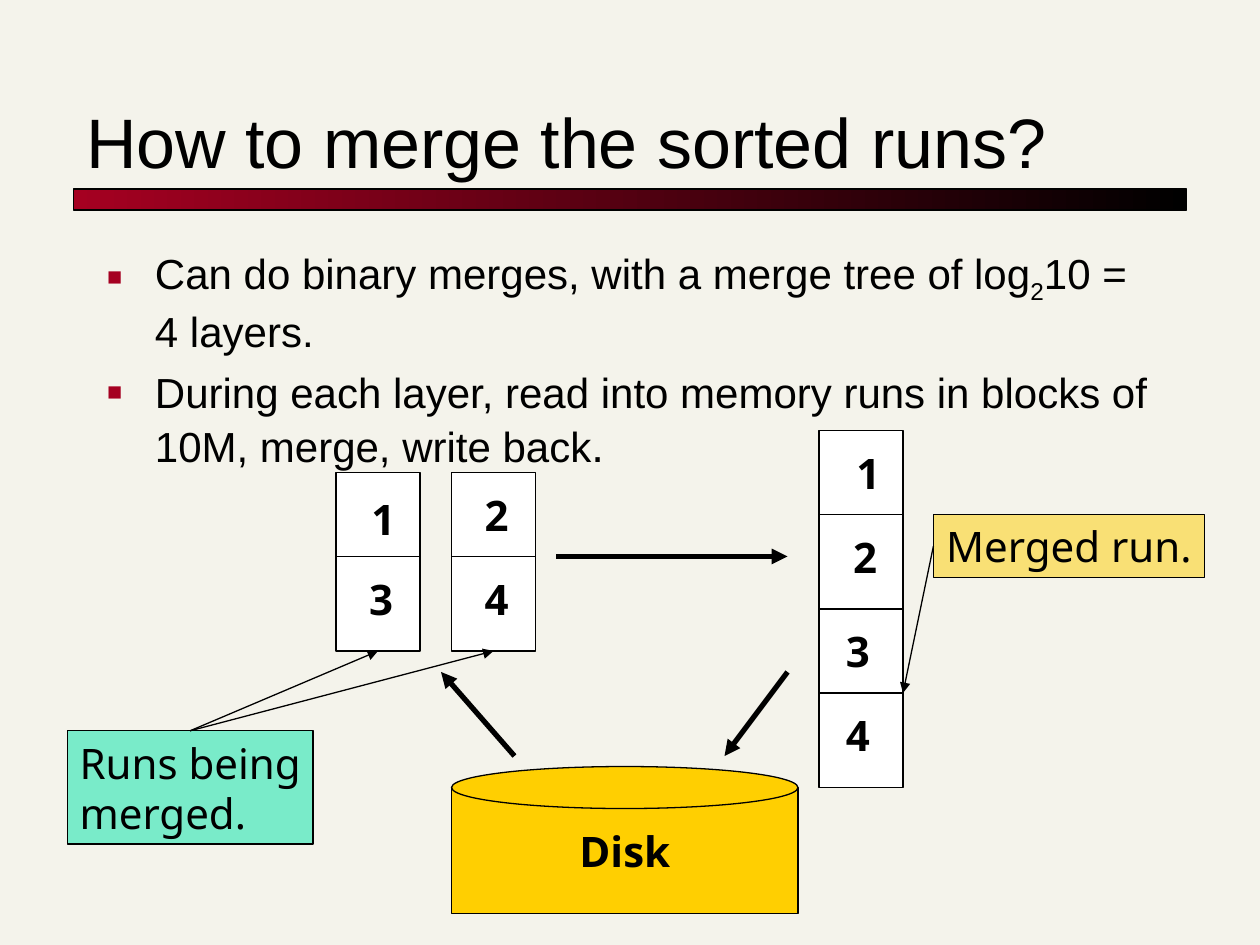
from collections import namedtuple
from dataclasses import dataclass

import pptx
import pptx.dml.color
import pptx.enum.shapes
import pptx.enum.text
import pptx.oxml
import pptx.oxml.ns
import pptx.util

COLUMNS, ROWS = 120, 90
CELL = pptx.util.Inches(10) // COLUMNS
SHAPE = pptx.enum.shapes.MSO_SHAPE
ALIGN = pptx.enum.text.PP_ALIGN
ANCHOR = pptx.enum.text.MSO_ANCHOR
NO_FIT = pptx.enum.text.MSO_AUTO_SIZE.NONE

Box = namedtuple("Box", "left top width height")  # in grid cells


@dataclass(frozen=True)
class Theme:
    background: str = "F4F3EB"
    ink: str = "000000"
    accent: str = "A50021"
    paper: str = "FFFFFF"
    gold: str = "FFCF01"
    mint: str = "00E4A8"
    text_font: str = "Arial"
    label_font: str = "Noto Sans"
    title_size: float = 40
    text_size: float = 24
    stop_size: float = 26
    hairline: float = 0.75
    thick_line: float = 3


THEME = Theme()


def rgb(value):
    return pptx.dml.color.RGBColor.from_string(value)


def cells(*values):
    return [round(value * CELL) for value in values]


def set_format(target, **values):
    for name, value in values.items():
        setattr(target, name, value)


def append_xml(parent, tag, content="", **attributes):
    settings = " ".join(f'{name}="{value}"' for name, value in attributes.items())
    namespace = pptx.oxml.ns.nsdecls("a")
    parent.append(pptx.oxml.parse_xml(f"<a:{tag} {namespace} {settings}>{content}</a:{tag}>"))


def add_run(paragraph, text, font=THEME.text_font, size=THEME.text_size, bold=False):
    run = paragraph.add_run()
    run.text = text
    set_format(run.font, name=font, size=pptx.util.Pt(size), bold=bold)
    run.font.color.rgb = rgb(THEME.ink)
    return run


def write_label(shape, lines, align=ALIGN.CENTER, bold=True):
    frame = shape.text_frame
    set_format(frame, word_wrap=False, vertical_anchor=ANCHOR.MIDDLE, auto_size=NO_FIT)
    for index, line in enumerate(lines):
        paragraph = frame.add_paragraph() if index else frame.paragraphs[0]
        paragraph.alignment = align
        add_run(paragraph, line, THEME.label_font, bold=bold)


def add_panel(shapes, box, color=None, kind=SHAPE.RECTANGLE, opacity=None):
    """Outlined shape; without a color its fill is left to the caller."""
    panel = shapes.add_shape(kind, *cells(*box))
    panel.shadow.inherit = False
    panel.line.color.rgb = rgb(THEME.ink)
    panel.line.width = pptx.util.Pt(THEME.hairline)
    if color:
        panel.fill.solid()
        panel.fill.fore_color.rgb = rgb(color)
    if opacity:
        fill_color = panel.element.spPr.find(".//" + pptx.oxml.ns.qn("a:srgbClr"))
        append_xml(fill_color, "alpha", val=opacity * 1000)
    return panel


def add_line(shapes, start, end, width=THEME.hairline, arrow=False):
    line = shapes.add_connector(
        pptx.enum.shapes.MSO_CONNECTOR.STRAIGHT, *cells(*start, *end))
    line.line.color.rgb = rgb(THEME.ink)
    line.line.width = pptx.util.Pt(width)
    properties = line.element.spPr
    if arrow:
        append_xml(properties.find(pptx.oxml.ns.qn("a:ln")), "tailEnd", type="triangle")
    append_xml(properties, "effectLst")


def place(placeholder, box):
    left, top, width, height = cells(*box)
    set_format(placeholder, left=left, top=top, width=width, height=height)


def add_heading(slide, box, text):
    """Title with the gradient bar along its bottom edge."""
    bar = add_panel(slide.shapes, Box(box.left, box.top + box.height, box.width, 2))
    bar.fill.gradient()
    bar.fill.gradient_angle = 0
    for stop, color, position in zip(bar.fill.gradient_stops, (THEME.accent, THEME.ink), (0, 1)):
        stop.color.rgb = rgb(color)
        stop.position = position
    title = slide.shapes.title
    place(title, box)
    set_format(title.text_frame, vertical_anchor=ANCHOR.BOTTOM, auto_size=NO_FIT, word_wrap=True)
    paragraph = title.text_frame.paragraphs[0]
    paragraph.alignment = ALIGN.LEFT
    add_run(paragraph, text, size=THEME.title_size)


def add_bullet(paragraph, space_before):
    paragraph.space_before = pptx.util.Pt(space_before)
    properties = paragraph._p.get_or_add_pPr()
    indent = pptx.util.Inches(0.38)
    set_format(paragraph, alignment=ALIGN.LEFT)
    properties.set("marL", str(indent))
    properties.set("indent", str(-indent))
    append_xml(properties, "buClr", f'<a:srgbClr val="{THEME.accent}"/>')
    append_xml(properties, "buSzPct", val=60000)
    append_xml(properties, "buFont", typeface=THEME.text_font)
    append_xml(properties, "buChar", char="■")


def add_body(slide, box):
    body = slide.placeholders[1]
    place(body, box)
    frame = body.text_frame
    set_format(frame, vertical_anchor=ANCHOR.TOP, auto_size=NO_FIT, word_wrap=True)
    layers = frame.paragraphs[0]
    add_bullet(layers, 0)
    add_run(layers, "Can do binary merges, with a merge tree of log")
    base = add_run(layers, "2")
    base._r.get_or_add_rPr().set("baseline", "-25000")
    add_run(layers, "10 = 4 layers.")
    blocks = frame.add_paragraph()
    add_bullet(blocks, 6.5)
    add_run(blocks, "During each layer, read into memory runs in blocks of 10M, merge, write back")
    add_run(blocks, ".", size=THEME.stop_size)


def add_run_stack(shapes, box, labels):
    """Two-block run; labels are (text, center column, center row) inside the box."""
    add_panel(shapes, box, THEME.paper)
    middle = box.top + 8
    add_line(shapes, (box.left, middle), (box.left + box.width, middle))
    width, height = 4.7, 6
    for text, column, row in labels:
        label = shapes.add_textbox(*cells(
            box.left + column - width / 2, box.top + row - height / 2, width, height))
        write_label(label, [text])


def add_disk(shapes, box):
    lid = 4
    body = Box(box.left, box.top + lid / 2, box.width, box.height - lid / 2)
    write_label(add_panel(shapes, body, THEME.gold), ["Disk"])
    add_panel(shapes, box._replace(height=lid), THEME.gold, SHAPE.OVAL)


def add_callout(shapes, box, lines, color, align, start, targets):
    """Tinted note with thin arrows from start to each target."""
    note = add_panel(shapes, box, color, opacity=50)
    write_label(note, lines, align, bold=False)
    for target in targets:
        add_line(shapes, start, target, arrow=True)


def add_merge_diagram(slide, box):
    shapes = slide.shapes
    left, top = box.left, box.top
    stack = Box(left, top, 8, 17)
    first, second = stack._replace(top=top + 4), stack._replace(left=left + 11, top=top + 4)
    upper = stack._replace(left=left + 46)
    lower = upper._replace(top=upper.top + upper.height)
    add_run_stack(shapes, first, [("1", 4.5, 4.4), ("3", 4.3, 12)])
    add_run_stack(shapes, second, [("2", 4.3, 4), ("4", 4.3, 12)])
    add_disk(shapes, Box(second.left, top + 32, 33, 14))
    for start, end in (((17, 31), (10, 23)), ((21, 12), (43, 12)), ((43, 23), (37, 31))):
        add_line(shapes, (left + start[0], top + start[1]), (left + end[0], top + end[1]),
                 THEME.thick_line, arrow=True)
    merged = shapes.add_group_shape().shapes
    add_run_stack(merged, upper, [("1", 4.7, 4), ("2", 4.4, 12)])
    add_run_stack(merged, lower, [("3", 3.7, 4), ("4", 3.7, 12)])

    note = Box(left - 25.6, top + 28.6, 23.4, 10.8)
    add_callout(shapes, note, ["Runs being", "merged."], THEME.mint, ALIGN.LEFT,
                (note.left + note.width / 2, note.top),
                [(run.left + run.width / 2, run.top + run.height) for run in (first, second)])
    note = Box(left + 56.9, top + 8, 25.8, 6)
    add_callout(shapes, note, ["Merged run."], THEME.gold, ALIGN.CENTER,
                (note.left, note.top + note.height / 2),
                [(lower.left + lower.width, lower.top + 8)])


def main():
    presentation = pptx.Presentation()
    set_format(presentation, slide_width=COLUMNS * CELL, slide_height=ROWS * CELL)
    slide = presentation.slides.add_slide(presentation.slide_layouts[1])
    slide.background.fill.solid()
    slide.background.fill.fore_color.rgb = rgb(THEME.background)
    add_heading(slide, Box(7, 5, 106, 13), "How to merge the sorted runs?")
    add_body(slide, Box(9, 23, 102, 64))
    add_merge_diagram(slide, Box(32, 41, 54, 46))
    presentation.save("out.pptx")


if __name__ == "__main__":
    main()
